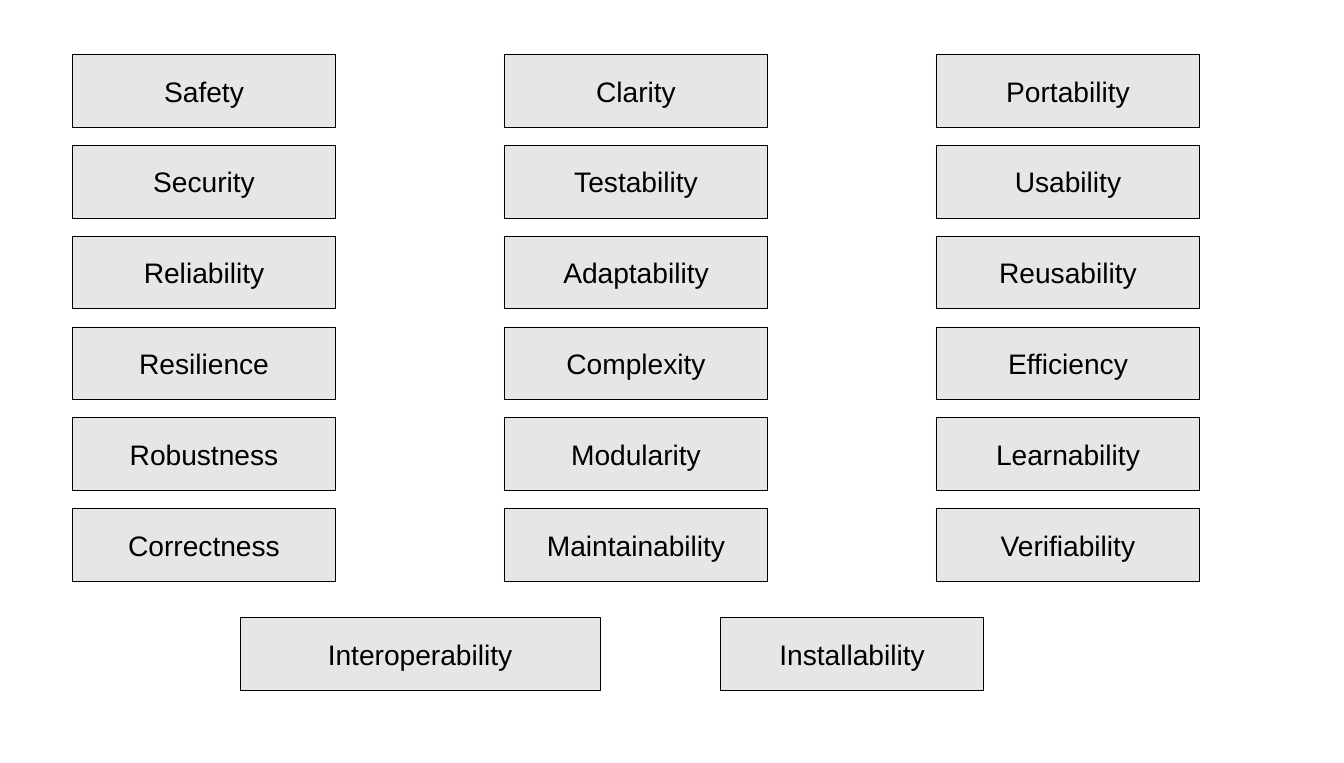
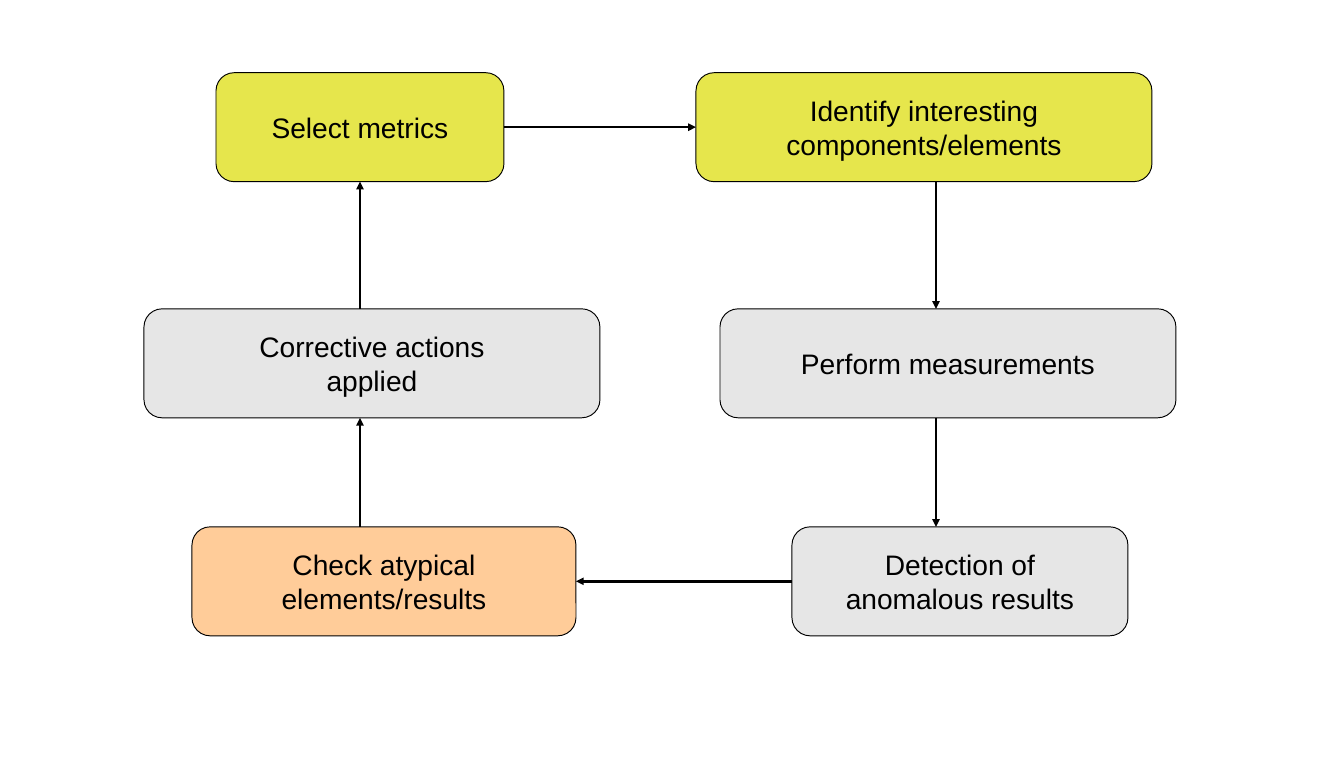
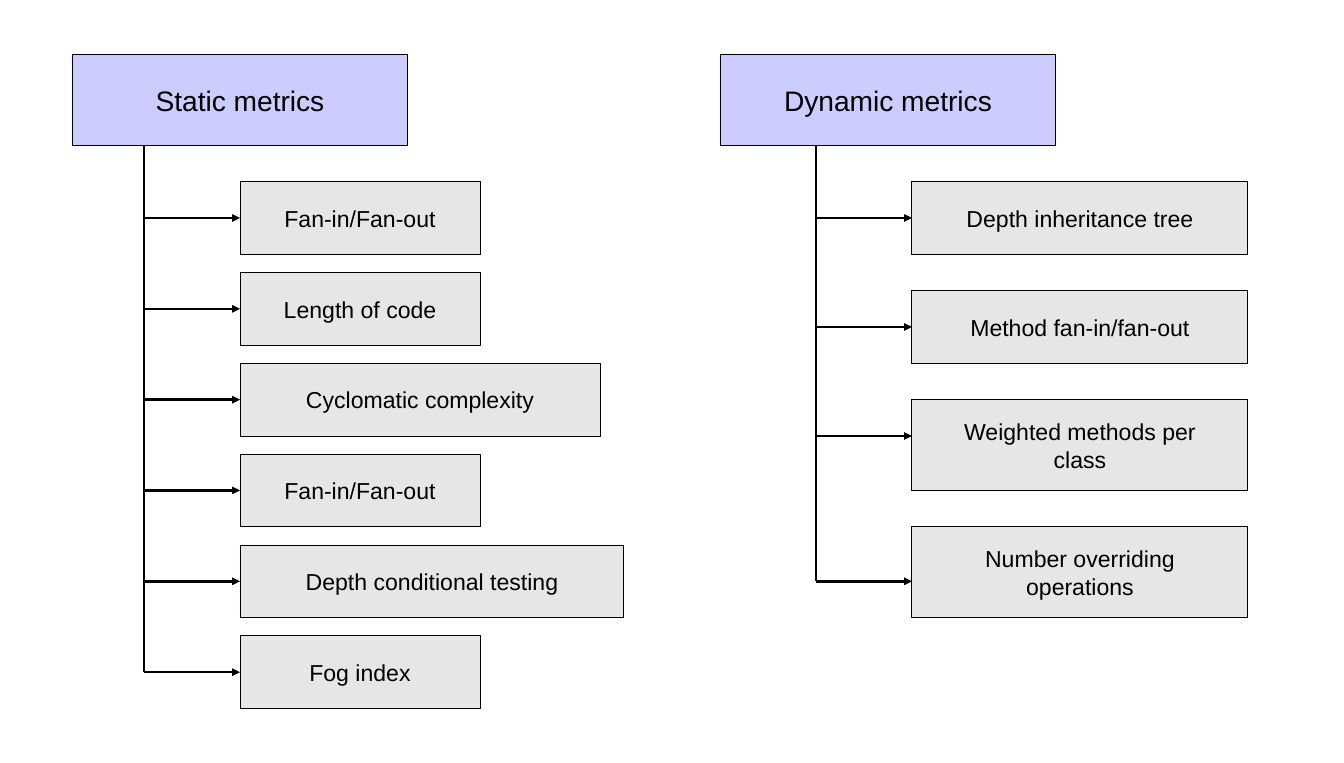
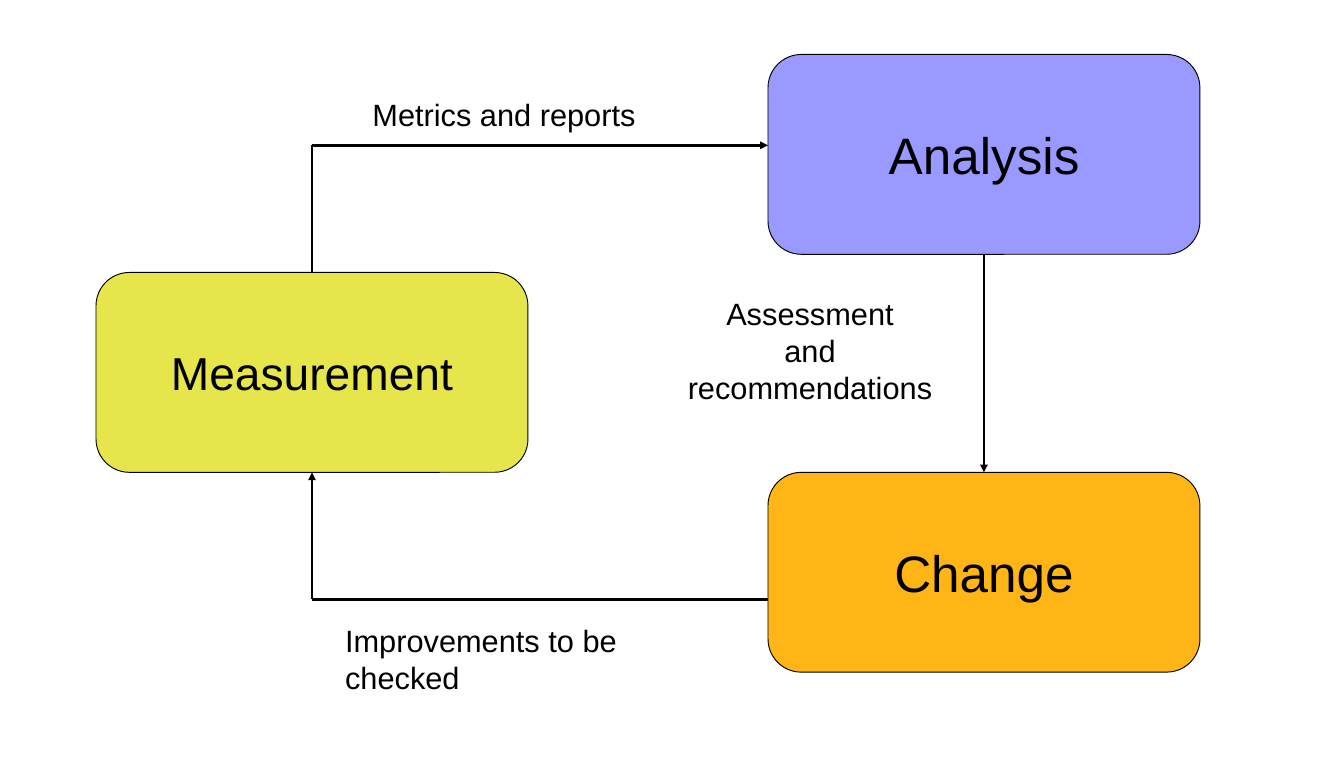
import dataclasses
import typing

import pptx
import pptx.dml.color
import pptx.enum.shapes
import pptx.enum.text
import pptx.oxml.ns
import pptx.util
from lxml import etree

SHAPES = pptx.enum.shapes.MSO_SHAPE
ALIGN = pptx.enum.text.PP_ALIGN
TOP, LEFT, BOTTOM, RIGHT = range(4)


@dataclasses.dataclass(frozen=True)
class Theme:
    font: str = "Arial"
    ink: str = "000000"
    grey: str = "E6E6E6"
    yellow: str = "E6E64C"
    peach: str = "FFCC99"
    lavender: str = "CCCCFF"
    violet: str = "9999FF"
    orange: str = "FFB515"
    small: int = 18
    body: int = 22
    label: int = 24
    large: int = 36
    huge: int = 40
    line: int = 0


THEME = Theme()


class Joint(typing.NamedTuple):
    """The middle of one side of a box, as the end of a connector."""
    box: typing.Any
    side: int


def rgb(code):
    return pptx.dml.color.RGBColor.from_string(code)


def write(shape, text, *, size=THEME.body, align=ALIGN.CENTER, color=THEME.ink):
    """Fill a shape with text, one paragraph per line."""
    frame = shape.text_frame
    frame.word_wrap = True
    for index, line in enumerate(text.split("\n")):
        para = frame.paragraphs[0] if index == 0 else frame.add_paragraph()
        para.alignment = align
        span = para.add_run()
        span.text = line
        span.font.name = THEME.font
        span.font.size = pptx.util.Pt(size)
        span.font.color.rgb = rgb(color)


class Deck:
    """Draws on a grid of 56 columns by 42 rows."""
    COLUMNS, ROWS = 56, 42

    def __init__(self, width, height):
        self.file = pptx.Presentation()
        self.file.slide_width = pptx.util.Inches(width)
        self.file.slide_height = pptx.util.Inches(height)
        self.page = None

    def new_page(self):
        self.page = self.file.slides.add_slide(self.file.slide_layouts[6])

    def x(self, columns):
        return round(self.file.slide_width * columns / self.COLUMNS)

    def y(self, rows):
        return round(self.file.slide_height * rows / self.ROWS)

    def place(self, column, row, columns, rows):
        return self.x(column), self.y(row), self.x(columns), self.y(rows)

    def outline(self, line):
        line.color.rgb = rgb(THEME.ink)
        line.width = pptx.util.Pt(THEME.line)

    def box(self, text, *cells, fill=THEME.grey, size=THEME.body, rounded=False):
        kind = SHAPES.ROUNDED_RECTANGLE if rounded else SHAPES.RECTANGLE
        box = self.page.shapes.add_shape(kind, *self.place(*cells))
        box.shadow.inherit = False
        box.fill.solid()
        box.fill.fore_color.rgb = rgb(fill)
        self.outline(box.line)
        write(box, text, size=size)
        return box

    def label(self, text, *cells, align=ALIGN.CENTER):
        label = self.page.shapes.add_textbox(*self.place(*cells))
        write(label, text, size=THEME.label, align=align)
        label.text_frame.auto_size = pptx.enum.text.MSO_AUTO_SIZE.SHAPE_TO_FIT_TEXT

    def connect(self, start, end, arrow=True):
        """Draw a line between two ends, each a Joint or a (column, row)."""
        points = [(0, 0) if isinstance(stop, Joint) else (self.x(stop[0]), self.y(stop[1]))
                  for stop in (start, end)]
        connector = self.page.shapes.add_connector(
            pptx.enum.shapes.MSO_CONNECTOR.STRAIGHT, *points[0], *points[1])
        if isinstance(start, Joint):
            connector.begin_connect(*start)
        if isinstance(end, Joint):
            connector.end_connect(*end)
        self.outline(connector.line)
        if arrow:
            etree.SubElement(connector.get_or_add_ln(), pptx.oxml.ns.qn("a:tailEnd"),
                             type="triangle")
        etree.SubElement(connector.element.spPr, pptx.oxml.ns.qn("a:effectLst"))


def quality_attributes(deck):
    deck.new_page()
    columns = (
        ("Safety", "Security", "Reliability", "Resilience", "Robustness", "Correctness"),
        ("Clarity", "Testability", "Adaptability", "Complexity", "Modularity",
         "Maintainability"),
        ("Portability", "Usability", "Reusability", "Efficiency", "Learnability",
         "Verifiability"),
    )
    for across, names in enumerate(columns):
        for down, name in enumerate(names):
            deck.box(name, 3 + 18 * across, 3 + 5 * down, 11, 4)
    deck.box("Interoperability", 10, 34, 15, 4)
    deck.box("Installability", 30, 34, 11, 4)


def measurement_process(deck):
    deck.new_page()

    def step(text, column, row, columns, fill=THEME.grey):
        return deck.box(text, column, row, columns, 6, fill=fill, rounded=True)

    select = step("Select metrics", 9, 4, 12, THEME.yellow)
    identify = step("Identify interesting\ncomponents/elements", 29, 4, 19, THEME.yellow)
    step("Perform measurements", 30, 17, 19)
    detect = step("Detection of\nanomalous results", 33, 29, 14)
    check = step("Check atypical\nelements/results", 8, 29, 16, THEME.peach)
    step("Corrective actions\napplied", 6, 17, 19)

    deck.connect(Joint(select, RIGHT), Joint(identify, LEFT))
    deck.connect((39, 10), (39, 17))
    deck.connect((39, 23), (39, 29))
    deck.connect(Joint(detect, LEFT), Joint(check, RIGHT))
    deck.connect((15, 29), (15, 23))
    deck.connect((15, 17), Joint(select, BOTTOM))


def metric_tree(deck, title, column, trunk, metrics):
    """Draw a heading and its metrics: text, row, columns, rows, branch row."""
    deck.box(title, column, 3, 14, 5, fill=THEME.lavender)
    for text, row, columns, rows, branch in metrics:
        metric = deck.box(text, trunk + 4, row, columns, rows, size=THEME.small)
        at_middle = branch == row + rows / 2
        deck.connect((trunk, branch),
                     Joint(metric, LEFT) if at_middle else (trunk + 4, branch))
    last_branch = metrics[-1][-1]
    deck.connect((trunk, 8), (trunk, last_branch), arrow=False)


def metric_kinds(deck):
    deck.new_page()
    static = (("Fan-in/Fan-out", 10), ("Length of code", 10), ("Cyclomatic complexity", 15),
              ("Fan-in/Fan-out", 10), ("Depth conditional testing", 16), ("Fog index", 10))
    metric_tree(deck, "Static metrics", 3, 6,
                [(text, 10 + 5 * index, columns, 4, 12 + 5 * index)
                 for index, (text, columns) in enumerate(static)])
    metric_tree(deck, "Dynamic metrics", 30, 34, (
        ("Depth inheritance tree", 10, 14, 4, 12),
        ("Method fan-in/fan-out", 16, 14, 4, 18),
        ("Weighted methods per\nclass", 22, 14, 5, 24),
        ("Number overriding\noperations", 29, 14, 5, 32),
    ))


def improvement_cycle(deck):
    deck.new_page()

    def stage(text, column, row, fill, size=THEME.huge):
        return deck.box(text, column, row, 18, 11, fill=fill, size=size, rounded=True)

    measurement = stage("Measurement", 4, 15, THEME.yellow, THEME.large)
    analysis = stage("Analysis", 32, 3, THEME.violet)
    change = stage("Change", 32, 26, THEME.orange)

    deck.connect(Joint(analysis, BOTTOM), Joint(change, TOP))
    deck.connect(Joint(measurement, TOP), (13, 8), arrow=False)
    deck.connect((13, 8), (32, 8))
    deck.connect((32, 33), (13, 33), arrow=False)
    deck.connect((13, 33), Joint(measurement, BOTTOM))

    deck.label("Metrics and reports", 13, 5, 16, 2.4)
    deck.label("Assessment\nand\nrecommendations", 26.5, 16, 14.5, 6.15)
    deck.label("Improvements to be\nchecked", 14, 34, 16, 4.25, align=ALIGN.LEFT)


def main():
    deck = Deck(14.57, 8.27)
    quality_attributes(deck)
    measurement_process(deck)
    metric_kinds(deck)
    improvement_cycle(deck)
    deck.file.save("out.pptx")


if __name__ == "__main__":
    main()
